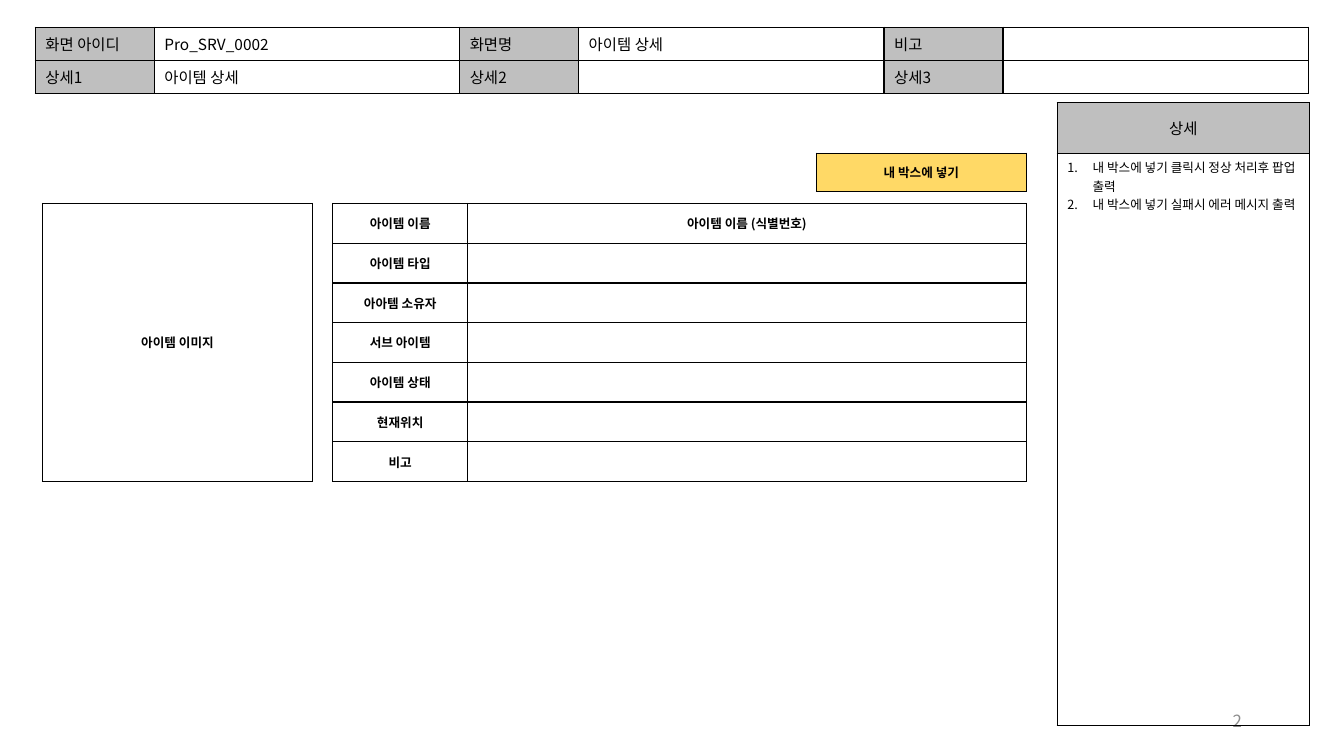
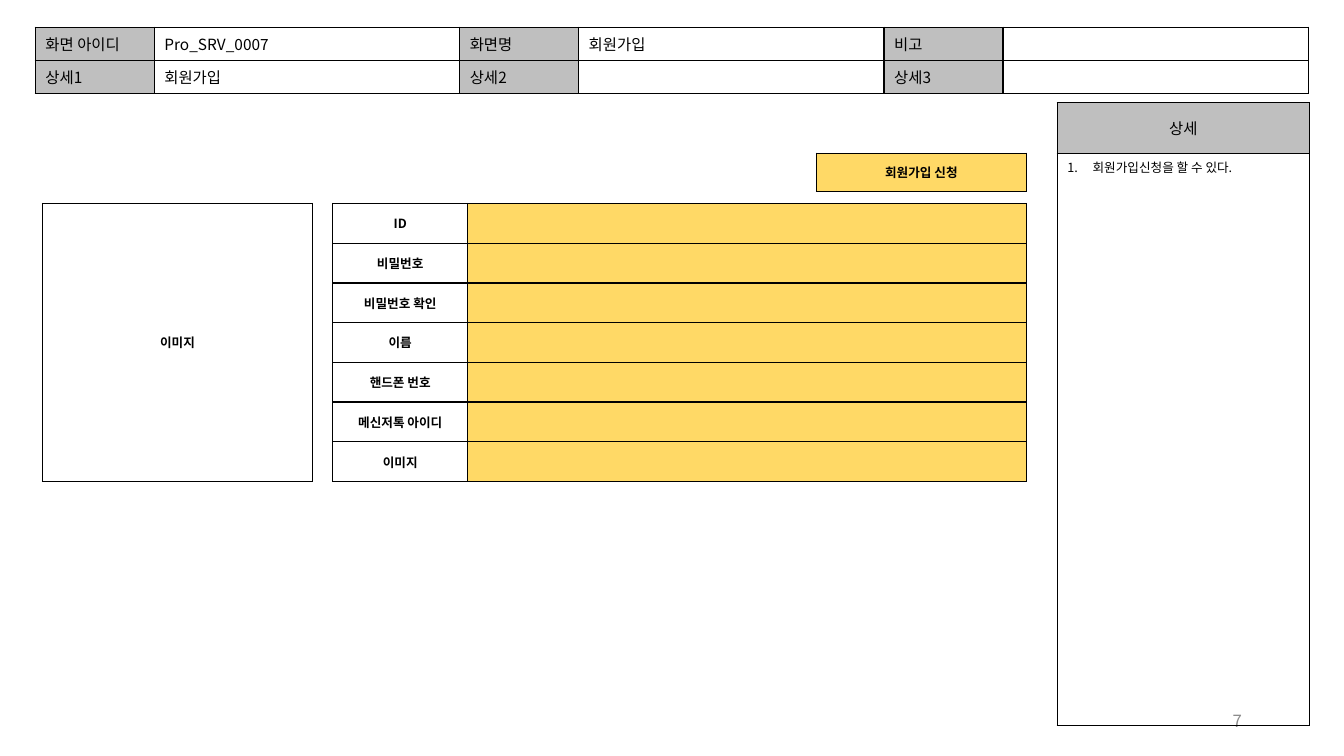
"""Build two screen-specification slides from shared tables laid out in percent of the slide."""
from dataclasses import dataclass
from typing import Optional

from lxml import etree
from pptx import Presentation
from pptx import util as u
from pptx.dml.color import RGBColor
from pptx.enum import text
from pptx.oxml.ns import qn


@dataclass(frozen=True)
class Theme:
    font: str = "Noto Sans CJK KR"
    ink: str = "000000"
    label: str = "BFBFBF"
    accent: str = "FFD966"
    muted: str = "8C8C8C"
    head: int = 11
    body: int = 9
    number: int = 12
    border: float = 1
    indent: float = 0.25
    plain_style: str = "{5940675A-B579-460E-94D1-54222C63F5DA}"


@dataclass(frozen=True)
class Grid:
    x: float
    y: float
    cols: tuple[float, ...]
    rows: tuple[float, ...]


@dataclass(frozen=True)
class Cell:
    lines: tuple[str, ...] = ()
    fill: Optional[str] = None
    size: int = 9
    bold: bool = False
    center: bool = False
    numbered: bool = False


@dataclass(frozen=True)
class Screen:
    code: str
    name: str
    number: int
    button: str
    image: str
    fields: tuple[str, ...]
    notes: tuple[str, ...]
    value: str = ""
    value_fill: Optional[str] = None


T = Theme()
W, H = u.Inches(13.33), u.Inches(7.5)

HEADER = Grid(2.63, 3.6, (8.85, 22.73) * 3, (4.36,) * 2)
DETAIL = Grid(78.67, 13.6, (18.75,), (6.67, 75.73))
IMAGE = Grid(3.15, 26.93, (20.1,), (36.75,))
FIELDS = Grid(24.75, 26.93, (10.05, 41.55), (5.25,) * 7)
BUTTON = Grid(60.75, 20.27, (15.6,), (5.07,))
NUMBER = Grid(70.65, 92.67, (22.5,), (5.33,))

SCREENS = (
    Screen("Pro_SRV_0002", "아이템 상세", 2, "내 박스에 넣기", "아이템 이미지",
           ("아이템 이름", "아이템 타입", "아아템 소유자", "서브 아이템", "아이템 상태", "현재위치", "비고"),
           ("내 박스에 넣기 클릭시 정상 처리후 팝업 출력", "내 박스에 넣기 실패시 에러 메시지 출력"),
           value="아이템 이름 (식별번호)"),
    Screen("Pro_SRV_0007", "회원가입", 7, "회원가입 신청", "이미지",
           ("ID", "비밀번호", "비밀번호 확인", "이름", "핸드폰 번호", "메신저톡 아이디", "이미지"),
           ("회원가입신청을 할 수 있다.",),
           value_fill=T.accent),
)


def across(share: float) -> int:
    """Turn a percentage of the slide width into a length."""
    return round(W * share / 100)


def down(share: float) -> int:
    """Turn a percentage of the slide height into a length."""
    return round(H * share / 100)


def frame(g: Grid) -> tuple[int, int, int, int]:
    """Return the left, top, width and height of a grid."""
    return across(g.x), down(g.y), across(sum(g.cols)), down(sum(g.rows))


def write(tf, lines: tuple[str, ...], *, size: int, color: str = T.ink, bold: bool = False,
          align=text.PP_ALIGN.LEFT, numbered: bool = False) -> None:
    """Write formatted paragraphs into a text frame."""
    tf.word_wrap = True
    if not lines:
        etree.SubElement(tf.paragraphs[0]._p, qn("a:endParaRPr"), sz=str(size * 100))
    for i, line in enumerate(lines):
        p = tf.add_paragraph() if i else tf.paragraphs[0]
        p.alignment = align
        r = p.add_run()
        r.text = line
        r.font.size, r.font.bold, r.font.name = u.Pt(size), bold, T.font
        r.font.color.rgb = RGBColor.from_string(color)
        etree.SubElement(r._r.get_or_add_rPr(), qn("a:ea"), typeface=T.font)
        if numbered:
            ppr = p._p.get_or_add_pPr()
            indent = u.Inches(T.indent)
            ppr.set("marL", str(indent))
            ppr.set("indent", str(-indent))
            etree.SubElement(ppr, qn("a:buAutoNum"), type="arabicPeriod")


def outline(cell) -> None:
    """Draw a solid border on all four sides of a table cell."""
    tcpr = cell._tc.get_or_add_tcPr()
    for side in ("lnL", "lnR", "lnT", "lnB"):
        ln = etree.SubElement(tcpr, qn(f"a:{side}"), w=str(u.Pt(T.border)))
        etree.SubElement(etree.SubElement(ln, qn("a:solidFill")), qn("a:srgbClr"), val=T.ink)


def draw_table(s, g: Grid, rows: list[list[Cell]]) -> None:
    """Draw a bordered table on a grid."""
    t = s.shapes.add_table(len(g.rows), len(g.cols), *frame(g)).table
    t.first_row = t.horz_banding = False
    t._tbl.tblPr.find(qn("a:tableStyleId")).text = T.plain_style
    for column, share in zip(t.columns, g.cols):
        column.width = across(share)
    for i, (row, share) in enumerate(zip(rows, g.rows)):
        t.rows[i].height = down(share)
        for j, c in enumerate(row):
            cell = t.cell(i, j)
            outline(cell)
            if c.fill:
                cell.fill.solid()
                cell.fill.fore_color.rgb = RGBColor.from_string(c.fill)
            else:
                cell.fill.background()
            cell.vertical_anchor = text.MSO_ANCHOR.TOP if c.numbered else text.MSO_ANCHOR.MIDDLE
            write(cell.text_frame, c.lines, size=c.size, bold=c.bold, numbered=c.numbered,
                  align=text.PP_ALIGN.CENTER if c.center else text.PP_ALIGN.LEFT)


def head(line: str, fill: Optional[str] = None, center: bool = False) -> Cell:
    """Make a heading-sized cell."""
    return Cell((line,) if line else (), fill, T.head, center=center)


def box(line: str, fill: Optional[str] = None) -> Cell:
    """Make a bold centred cell."""
    return Cell((line,) if line else (), fill, T.body, bold=True, center=True)


def draw_number(s, number: int) -> None:
    """Draw the slide number."""
    tf = s.shapes.add_textbox(*frame(NUMBER)).text_frame
    tf.vertical_anchor = text.MSO_ANCHOR.MIDDLE
    write(tf, (str(number),), size=T.number, color=T.muted, align=text.PP_ALIGN.RIGHT)


def draw_screen(s, screen: Screen) -> None:
    """Draw one screen specification."""
    header = ((("화면 아이디", screen.code), ("화면명", screen.name), ("비고", "")),
              (("상세1", screen.name), ("상세2", ""), ("상세3", "")))
    draw_table(s, HEADER, [[c for label, value in row for c in (head(label, T.label), head(value))]
                           for row in header])
    draw_number(s, screen.number)
    draw_table(s, DETAIL, [[head("상세", T.label, center=True)],
                           [Cell(screen.notes, size=T.body, numbered=True)]])
    draw_table(s, IMAGE, [[box(screen.image)]])
    draw_table(s, FIELDS, [[box(field), box("" if i else screen.value, screen.value_fill)]
                           for i, field in enumerate(screen.fields)])
    draw_table(s, BUTTON, [[box(screen.button, T.accent)]])


def main() -> None:
    """Build and save the presentation."""
    prs = Presentation()
    prs.slide_width, prs.slide_height = W, H
    for screen in SCREENS:
        draw_screen(prs.slides.add_slide(prs.slide_layouts[6]), screen)
    prs.save("out.pptx")


if __name__ == "__main__":
    main()
